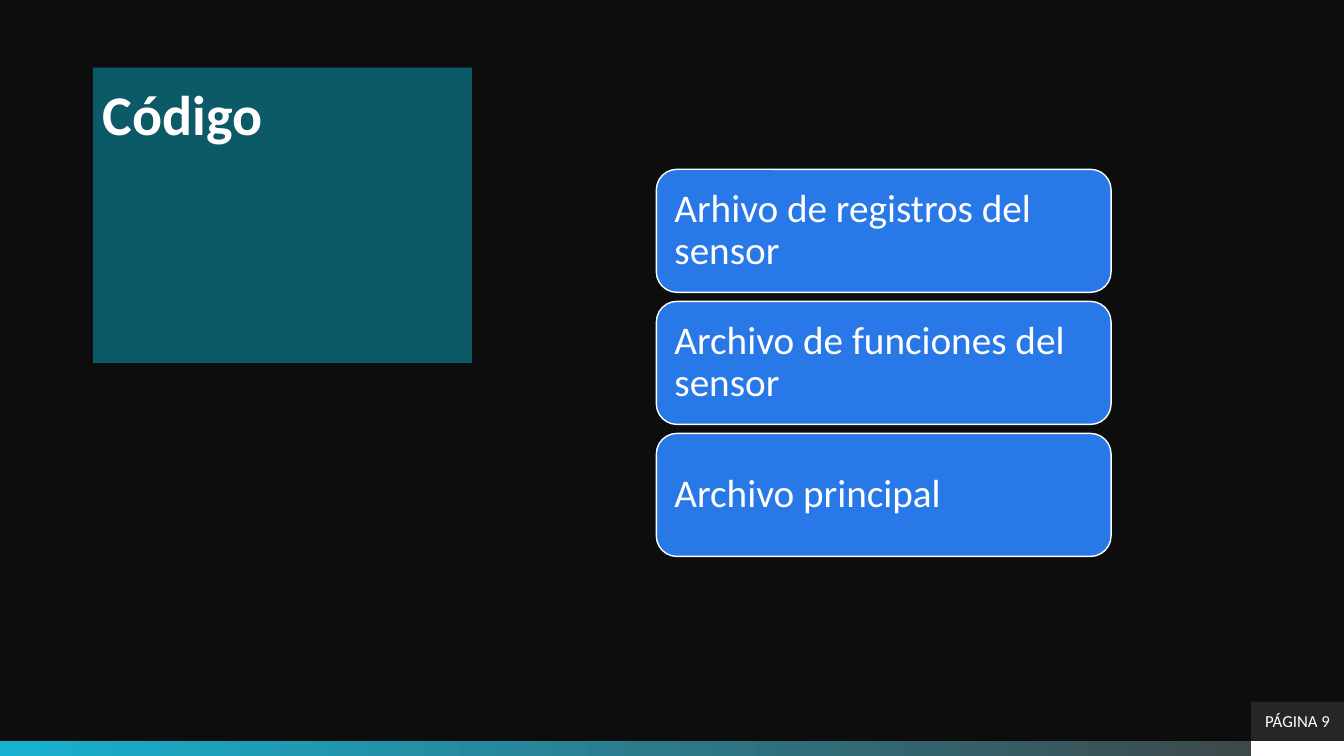
from pptx import Presentation, util as u
from pptx.dml.color import RGBColor
from pptx.enum import shapes, text

HEAD = "Código"
CARDS = [
    "Arhivo de registros del sensor",
    "Archivo de funciones del sensor",
    "Archivo principal",
]
PAGE = "PÁGINA 9"
WIDE, HIGH = 13.33, 7.5
BAR, TAB = 0.15, (0.92, 0.39)
LEFT, TOP, CARD, STEP = 6.51, 1.68, (4.51, 1.22), 1.31
WHITE = "FFFFFF"


def tint(fmt, hue):
    fmt.solid()
    fmt.fore_color.rgb = RGBColor.from_string(hue)


def write(shape, words, size, align, anchor, pad, bold=False):
    frame = shape.text_frame
    frame.word_wrap = True
    frame.auto_size = text.MSO_AUTO_SIZE.NONE
    frame.vertical_anchor = anchor
    frame.margin_left = frame.margin_right = u.Inches(pad[0])
    frame.margin_top = frame.margin_bottom = u.Inches(pad[1])
    frame.text = words
    para = frame.paragraphs[0]
    para.alignment = align
    font = para.font
    font.name, font.size, font.bold = "Calibri", u.Pt(size), bold
    tint(font.fill, WHITE)
    return para


def block(slide, kind, box, hue):
    shape = slide.shapes.add_shape(kind, *map(u.Inches, box))
    shape.shadow.inherit = False
    tint(shape.fill, hue)
    shape.line.fill.background()
    return shape


def main():
    deck = Presentation()
    deck.slide_width, deck.slide_height = u.Inches(WIDE), u.Inches(HIGH)
    slide = deck.slides.add_slide(deck.slide_layouts[5])
    tint(slide.background.fill, "0D0D0D")
    rect = shapes.MSO_SHAPE.RECTANGLE
    mid = text.MSO_ANCHOR.MIDDLE
    side = text.PP_ALIGN.LEFT

    base, edge = HIGH - BAR, WIDE - TAB[0]
    bar = block(slide, rect, (0, base, WIDE, BAR), WHITE)
    bar.fill.gradient()
    bar.fill.gradient_angle = 0
    for stop, hue in zip(bar.fill.gradient_stops, ("17B2D1", "404040")):
        stop.color.rgb = RGBColor.from_string(hue)
    block(slide, rect, (edge, base, TAB[0], BAR), WHITE)
    tab = block(slide, rect, (edge, base - TAB[1], *TAB), "262626")
    write(tab, PAGE, 12, text.PP_ALIGN.CENTER, mid, (0.05, 0.05))

    head = slide.shapes.title
    head.left, head.top, head.width, head.height = map(
        u.Inches, (0.92, 0.67, 3.76, 2.93))
    tint(head.fill, "0C5968")
    write(head, HEAD, 40, side, text.MSO_ANCHOR.TOP, (0.1, 0.12), True)

    for row, words in enumerate(CARDS):
        box = (LEFT, TOP + row * STEP, *CARD)
        card = block(slide, shapes.MSO_SHAPE.ROUNDED_RECTANGLE, box, "2978E7")
        tint(card.line.fill, WHITE)
        card.line.width = u.Pt(1)
        write(card, words, 28, side, mid, (0.12, 0.12)).line_spacing = 0.9

    deck.save("out.pptx")


if __name__ == "__main__":
    main()
